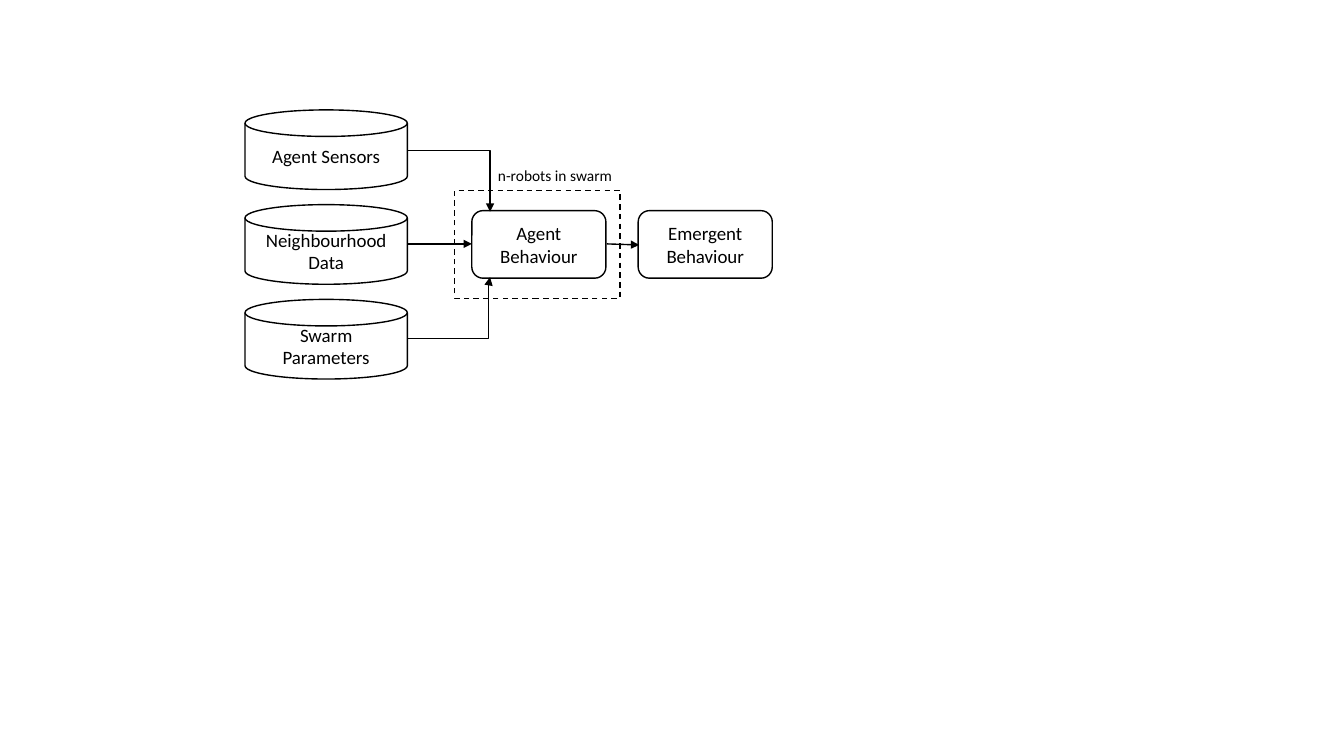
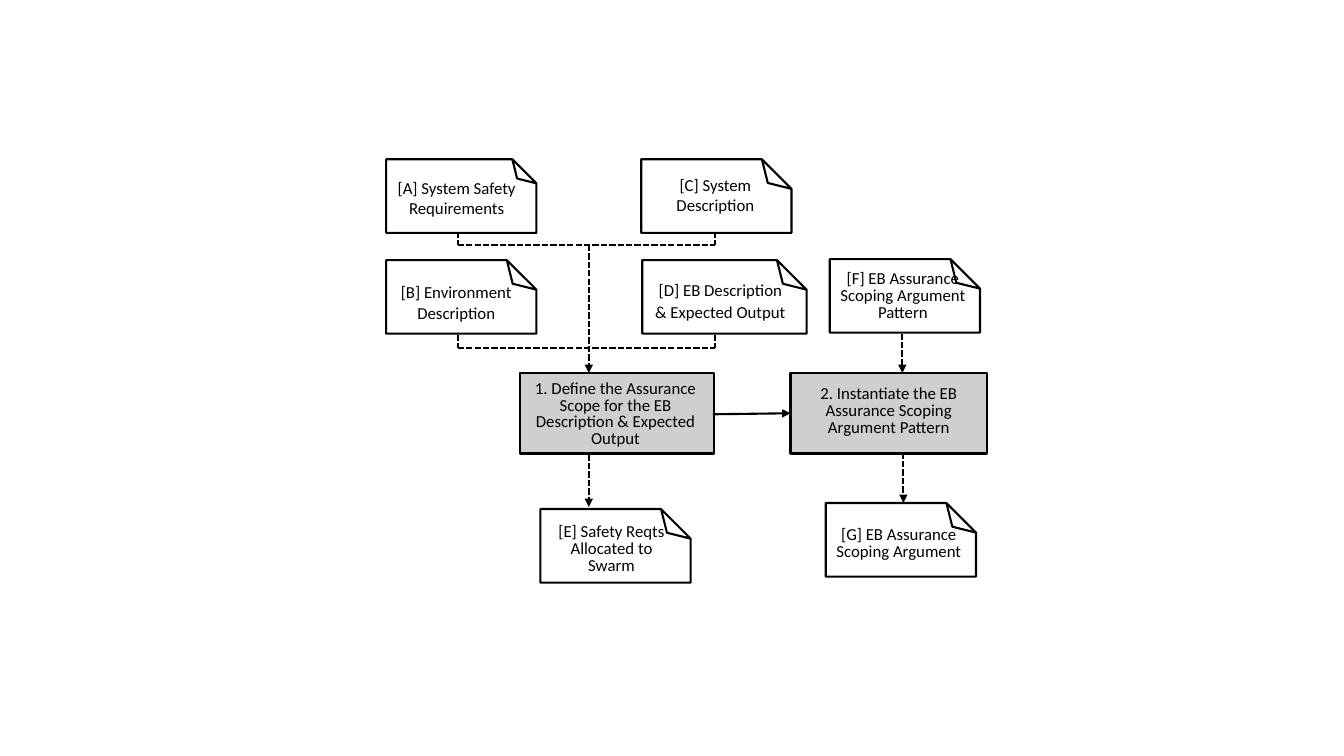
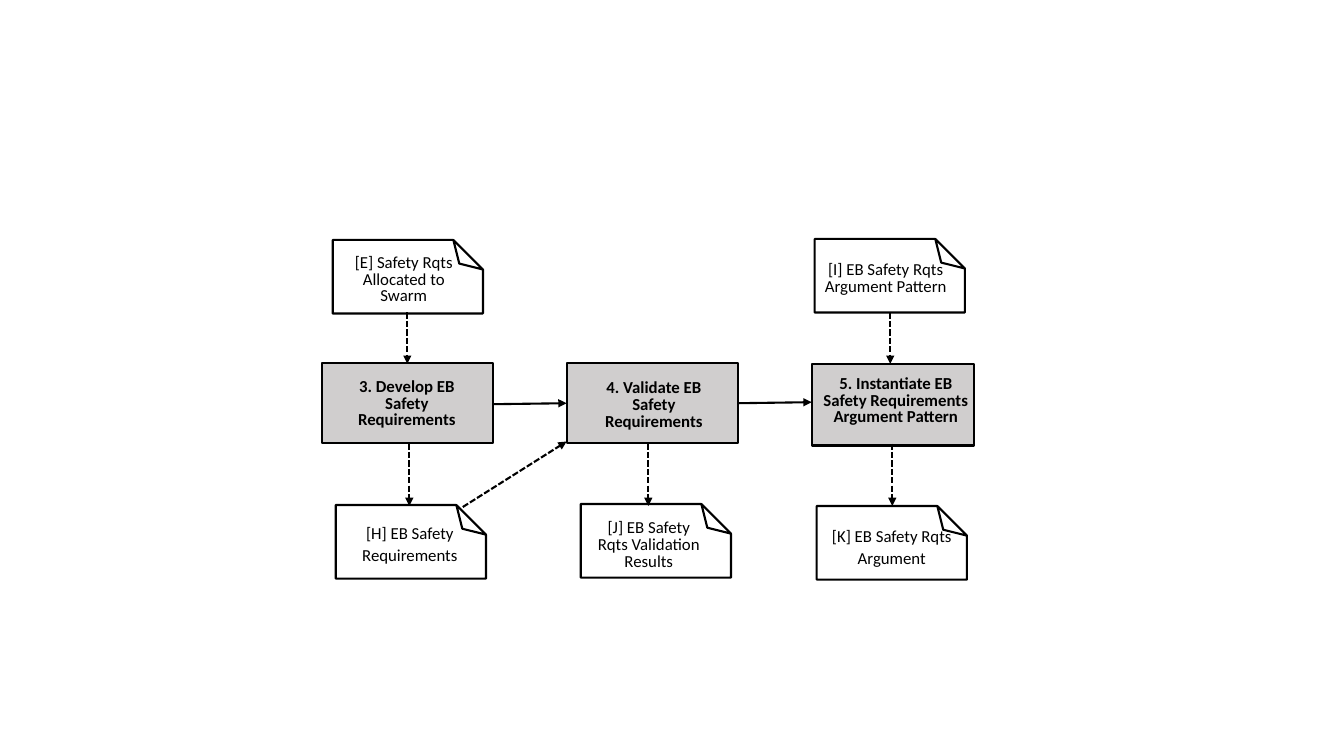
from dataclasses import dataclass

from pptx import Presentation
from pptx import util as u
from pptx.dml.color import RGBColor
from pptx.enum import dml, shapes, text
from pptx.oxml import ns
from pptx.oxml import xmlchemy as xc


@dataclass(frozen=True)
class Theme:
    font: str = "Calibri"
    ink: RGBColor = RGBColor(0x00, 0x00, 0x00)
    step_fill: RGBColor = RGBColor(0xD0, 0xCE, 0xCE)
    node_size: float = 13.5
    caption_size: float = 11
    label_size: float = 12
    thin: float = 1
    thick: float = 1.5
    tight: float = 12       # line spacings in points
    loose: float = 15.8


T = Theme()
SHAPE = shapes.MSO_SHAPE
DASH = dml.MSO_LINE
NOTE_W, NOTE_H, FOLD = 1.49, 0.73, 0.402


# ---- Shared drawing helpers ----
def inches(*values):
    return [u.Inches(v) for v in values]


def style_line(line, width, dash=None):
    line.color.rgb = T.ink
    line.width = u.Pt(width)
    if dash:
        line.dash_style = dash


def write(tf, words, size, align=None, bold=False, spacing=None):
    tf.word_wrap = True
    tf.text = words
    p = tf.paragraphs[0]
    p.alignment = align
    if spacing:
        p.line_spacing = u.Pt(spacing)
    font = p.runs[0].font
    font.name, font.size, font.bold = T.font, u.Pt(size), bold
    font.color.rgb = T.ink


def set_guide(sp, name, share):
    """Set an adjustment of a preset outline as a share of its size."""
    geom = sp.element.spPr.find(ns.qn("a:prstGeom"))
    guide = xc.OxmlElement("a:gd")
    guide.set("name", name)
    guide.set("fmla", f"val {round(share * 100000)}")
    geom.get_or_add_avLst().append(guide)


def outline(parent, kind, box, width, dash=None, fill=None):
    sp = parent.add_shape(kind, *inches(*box))
    sp.shadow.inherit = False
    if fill is None:
        sp.fill.background()
    else:
        sp.fill.solid()
        sp.fill.fore_color.rgb = fill
    style_line(sp.line, width, dash)
    return sp


def text_box(parent, box, words, size, wide_margins=False, **style):
    tf = parent.add_textbox(*inches(*box)).text_frame
    write(tf, words, size, **style)
    tf.auto_size = text.MSO_AUTO_SIZE.SHAPE_TO_FIT_TEXT
    if wide_margins:
        tf.margin_left = tf.margin_right = u.Inches(0.13)
        tf.margin_top = tf.margin_bottom = u.Inches(0.07)


def connect(parent, start, end, width=T.thick, dash=None, arrow=True,
            kind=shapes.MSO_CONNECTOR.STRAIGHT):
    c = parent.add_connector(kind, *inches(*start, *end))
    style_line(c.line, width, dash)
    props = c.element.spPr
    if arrow:
        tail = xc.OxmlElement("a:tailEnd")
        tail.set("type", "triangle")
        props.find(ns.qn("a:ln")).append(tail)
    props.append(xc.OxmlElement("a:effectLst"))
    return c


def dashed(parent, start, end, arrow=True):
    connect(parent, start, end, dash=DASH.SQUARE_DOT, arrow=arrow)


def elbow(parent, start, end, preset="bentConnector3", bend=None):
    c = connect(parent, start, end, T.thin, kind=shapes.MSO_CONNECTOR.ELBOW)
    c.element.spPr.find(ns.qn("a:prstGeom")).set("prst", preset)
    if bend is not None:
        set_guide(c, "adj1", bend)


# ---- Diagram parts ----
def node(parent, kind, box, words):
    sp = outline(parent, kind, box, T.thin)
    sp.text_frame.vertical_anchor = text.MSO_ANCHOR.MIDDLE
    write(sp.text_frame, words, T.node_size, text.PP_ALIGN.CENTER)


def label(parent, corner, offset, words, **style):
    """Centred text; offset is (dx, dy, width, height) from the corner."""
    dx, dy, w, h = offset
    text_box(parent, (corner[0] + dx, corner[1] + dy, w, h), words,
             T.label_size, align=text.PP_ALIGN.CENTER, **style)


def note(parent, corner, offset, words, w=NOTE_W, fold=FOLD,
         spacing=T.tight, **style):
    """Document with its top right corner folded: a quarter-turned preset."""
    x, y = corner
    shift = (w - NOTE_H) / 2
    sp = outline(parent, SHAPE.FOLDED_CORNER,
                 (x + shift, y - shift, NOTE_H, w), T.thick)
    sp.rotation = 270
    set_guide(sp, "adj", fold)
    label(parent, corner, offset, words, spacing=spacing, **style)


def step(parent, box, offset, words, **style):
    outline(parent, SHAPE.RECTANGLE, box, T.thick, fill=T.step_fill)
    label(parent, box[:2], offset, words, spacing=T.tight, **style)


def bracket(parent, left, right, top, bottom):
    """Dashed line joining two notes from below."""
    for x in (left, right):
        dashed(parent, (x, top), (x, bottom), arrow=False)
    dashed(parent, (left, bottom), (right, bottom), arrow=False)


# ---- Slides ----
def swarm_slide(s):
    g = s.shapes.add_group_shape().shapes

    # Behaviours
    for x, words in ((4.68, "Agent Behaviour"), (6.33, "Emergent Behaviour")):
        node(g, SHAPE.ROUNDED_RECTANGLE, (x, 2.09, 1.33, 0.67), words)

    # Data sources
    sources = ("Agent Sensors", "Neighbourhood Data", "Swarm Parameters")
    for i, words in enumerate(sources):
        node(g, SHAPE.FLOWCHART_MAGNETIC_DISK,
             (2.43, 1.09 + i * 0.94, 1.61, 0.79), words)

    # Flows
    elbow(g, (4.04, 1.49), (4.86, 2.1), "bentConnector2")
    elbow(g, (4.04, 2.42), (4.68, 2.42))
    connect(g, (6.02, 2.42), (6.34, 2.43), T.thin)
    elbow(g, (4.04, 3.36), (4.86, 2.75), bend=0.985)

    # Swarm boundary
    outline(g, SHAPE.RECTANGLE, (4.51, 1.89, 1.64, 1.07), T.thin, DASH.DASH)
    text_box(g, (4.84, 1.6, 1.82, 0.29), "n-robots in swarm", T.caption_size)


def scoping_slide(s):
    g = s.shapes

    # Inputs
    note(g, (3.83, 1.58), (-0.12, 0.11, 1.64, 0.54),
         "[A] System Safety Requirements", fold=0.327, spacing=None,
         wide_margins=True)
    note(g, (3.83, 2.58), (-0.05, 0.17, 1.49, 0.5),
         "[B] Environment Description", spacing=None)
    note(g, (6.36, 1.58), (-0.01, 0.1, 1.49, 0.5),
         "[C] System Description", spacing=None)
    note(g, (6.37, 2.58), (0, 0.13, 1.55, 0.54),
         "[D] EB Description & Expected Output", w=1.63, spacing=T.loose)
    note(g, (8.23, 2.57), (-0.07, 0.07, 1.59, 0.61),
         "[F] EB Assurance Scoping Argument Pattern")

    # Steps
    step(g, (5.16, 3.7, 1.92, 0.8), (0.03, 0.03, 1.83, 0.78),
         "1. Define the Assurance Scope for the EB Description "
         "& Expected Output")
    step(g, (7.84, 3.7, 1.95, 0.8), (0.08, 0.06, 1.79, 0.64),
         "2. Instantiate the EB Assurance Scoping Argument Pattern",
         wide_margins=True)

    # Outputs
    note(g, (5.36, 5.05), (-0.04, 0.1, 1.49, 0.61),
         "[E] Safety Reqts Allocated to Swarm")
    note(g, (8.19, 4.99), (-0.11, 0.19, 1.67, 0.44),
         "[G] EB Assurance Scoping Argument")

    # Flows
    for top, bottom in ((2.3, 2.43), (3.32, 3.45)):
        bracket(g, 4.54, 7.09, top, bottom)
    for x, top, bottom in ((5.84, 2.43, 3.7), (5.84, 4.51, 5.03),
                           (8.96, 4.49, 4.99), (8.95, 3.31, 3.7)):
        dashed(g, (x, top), (x, bottom))
    connect(g, (7.07, 4.11), (7.84, 4.1))


def requirements_slide(s):
    g = s.shapes

    # Inputs
    note(g, (3.3, 2.38), (-0.04, 0.1, 1.49, 0.61),
         "[E] Safety Rqts Allocated to Swarm")
    note(g, (8.08, 2.37), (-0.04, 0.18, 1.49, 0.44),
         "[I] EB Safety Rqts Argument Pattern")

    # Steps
    step(g, (3.19, 3.6, 1.7, 0.8), (0.1, 0.11, 1.49, 0.61),
         "3. Develop EB Safety Requirements", bold=True)
    step(g, (5.62, 3.6, 1.7, 0.8), (0.07, 0.1, 1.59, 0.64),
         "4. Validate EB Safety Requirements", bold=True, wide_margins=True)
    step(g, (8.05, 3.61, 1.61, 0.81), (-0.04, 0.05, 1.75, 0.64),
         "5. Instantiate EB Safety Requirements Argument Pattern",
         bold=True, wide_margins=True)

    # Outputs
    note(g, (3.33, 5.01), (-0.01, 0.11, 1.49, 0.54),
         "[H] EB Safety Requirements", spacing=T.loose)
    note(g, (5.76, 5), (0, 0.11, 1.35, 0.61),
         "[J] EB Safety Rqts Validation Results")
    note(g, (8.1, 5.02), (0, 0.11, 1.49, 0.57),
         "[K] EB Safety Rqts Argument", spacing=T.loose, wide_margins=True)

    # Flows
    for x in (4.04, 8.83):
        dashed(g, (x, 3.1), (x, 3.61))
    for x in (4.06, 6.43, 8.85):
        dashed(g, (x, 4.4), (x, 5.02))
    dashed(g, (4.59, 5.03), (5.62, 4.38))
    connect(g, (4.89, 4.01), (5.62, 4))
    connect(g, (7.33, 4), (8.05, 3.99))


prs = Presentation()
prs.slide_width, prs.slide_height = inches(13.33, 7.5)
for build in (swarm_slide, scoping_slide, requirements_slide):
    build(prs.slides.add_slide(prs.slide_layouts[6]))
prs.save("out.pptx")
